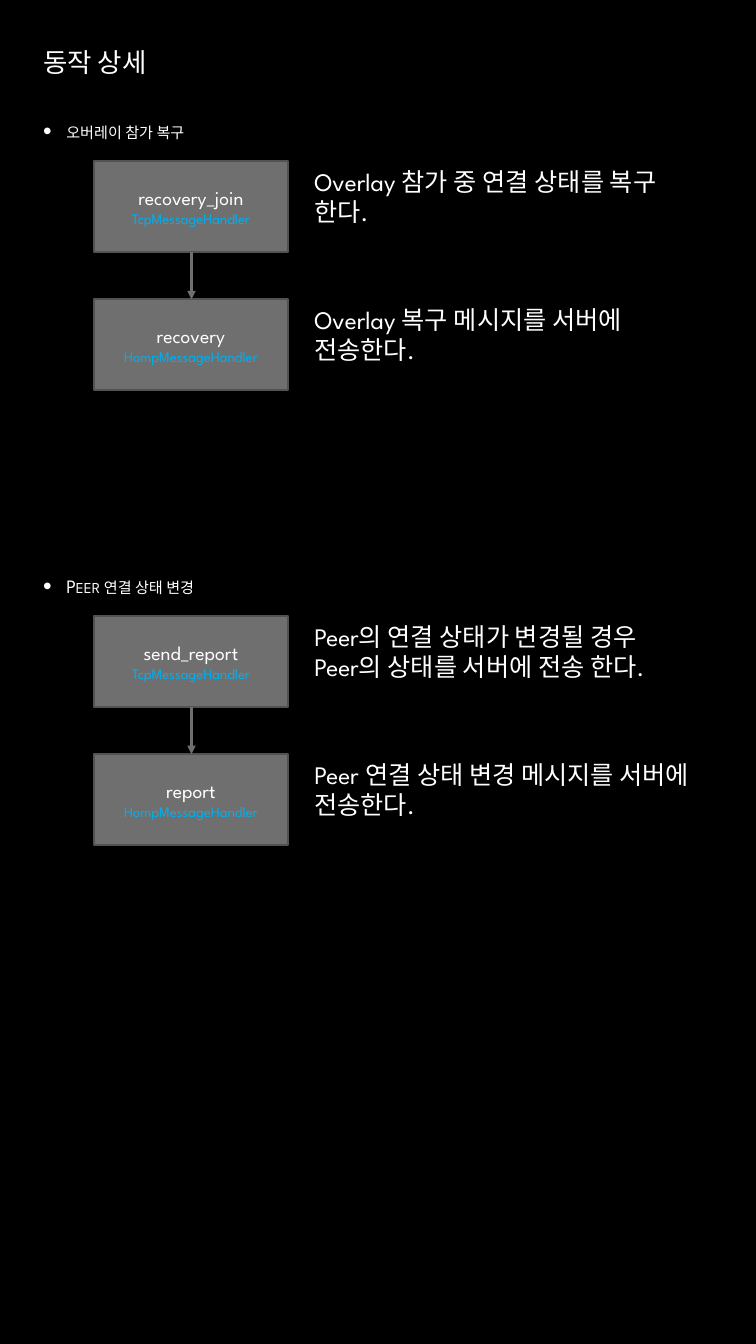
"""Builds the slide on overlay recovery and peer state reports."""
from lxml import etree
from pptx import Presentation
from pptx.dml.color import RGBColor
from pptx.enum.shapes import MSO_CONNECTOR, MSO_SHAPE
from pptx.enum.text import MSO_ANCHOR, PP_ALIGN
from pptx.oxml.ns import qn
from pptx.util import Pt

PX = 9144
RECT = MSO_SHAPE.RECTANGLE
STRAIGHT = MSO_CONNECTOR.STRAIGHT
MIDDLE = MSO_ANCHOR.MIDDLE
CENTER = PP_ALIGN.CENTER
BLACK = RGBColor(0x00, 0x00, 0x00)
WHITE = RGBColor(0xFF, 0xFF, 0xFF)
GRAY = RGBColor(0x6F, 0x6F, 0x6F)
DARK_GRAY = RGBColor(0x52, 0x52, 0x52)
BLUE = RGBColor(0x00, 0xB0, 0xF0)
LATIN = "League Spartan"
KOREAN = "Noto Sans CJK KR"

BOX_X, BOX_W, BOX_H = 93, 193, 90
NOTE_X, NOTE_H = 302, 71
STEP = 137

SECTIONS = [
    (114, 314, "오버레이 참가 복구", [
        ("recovery_join", "TcpMessageHandler", 382,
         "Overlay 참가 중 연결 상태를 복구 한다."),
        ("recovery", "HompMessageHandler", 395,
         "Overlay 복구 메시지를 서버에 전송한다."),
    ]),
    (565, 434, "Peer 연결 상태 변경", [
        ("send_report", "TcpMessageHandler", 382,
         "Peer의 연결 상태가 변경될 경우 Peer의 상태를 서버에 전송 한다."),
        ("report", "HompMessageHandler", 395,
         "Peer 연결 상태 변경 메시지를 서버에 전송한다."),
    ]),
]


def add_run(p, text, size, color=WHITE, font=LATIN):
    r = p.add_run()
    r.text = text
    r.font.size = Pt(size)
    r.font.name = font
    r.font.color.rgb = color
    rPr = r._r.get_or_add_rPr()
    etree.SubElement(rPr, qn("a:ea"), typeface=KOREAN)
    return rPr


def add_text_frame(x, y, w, h):
    tf = slide.shapes.add_textbox(x * PX, y * PX, w * PX, h * PX).text_frame
    tf.word_wrap = True
    return tf


prs = Presentation()
prs.slide_width = 750 * PX
prs.slide_height = 1333 * PX
slide = prs.slides.add_slide(prs.slide_layouts[6])
slide.background.fill.solid()
slide.background.fill.fore_color.rgb = BLACK

tf = add_text_frame(33, 40, 686, 42)
tf.vertical_anchor = MIDDLE
add_run(tf.paragraphs[0], "동작 상세", 18.9, font=KOREAN)

for top, height, heading, steps in SECTIONS:
    p = add_text_frame(33, top, 686, height).paragraphs[0]
    pPr = p._p.get_or_add_pPr()
    pPr.set("marL", str(23 * PX))
    pPr.set("indent", str(-23 * PX))
    bullet_color = etree.SubElement(pPr, qn("a:buClr"))
    etree.SubElement(bullet_color, qn("a:srgbClr"), val=str(WHITE))
    etree.SubElement(pPr, qn("a:buSzPct"), val="130000")
    etree.SubElement(pPr, qn("a:buFont"), typeface="Arial")
    etree.SubElement(pPr, qn("a:buChar"), char="•")
    p.space_after = Pt(4.5)
    add_run(p, heading, 13.5).set("cap", "small")

    first_y = top + 46
    for i, (function, handler, note_w, note) in enumerate(steps):
        y = first_y + i * STEP
        sp = slide.shapes.add_shape(RECT, BOX_X * PX, y * PX, BOX_W * PX, BOX_H * PX)
        sp.shadow.inherit = False
        sp.fill.solid()
        sp.fill.fore_color.rgb = GRAY
        sp.line.color.rgb = DARK_GRAY
        sp.line.width = Pt(1.5)
        tf = sp.text_frame
        tf.vertical_anchor = MIDDLE
        p = tf.paragraphs[0]
        p.alignment = CENTER
        add_run(p, function, 14)
        p = tf.add_paragraph()
        p.alignment = CENTER
        add_run(p, handler, 10.5, BLUE)

        tf = add_text_frame(NOTE_X, y, note_w, NOTE_H)
        add_run(tf.paragraphs[0], note, 18)

    arrow = slide.shapes.add_connector(
        STRAIGHT, 190 * PX, (first_y + BOX_H) * PX, 190 * PX, (first_y + STEP) * PX)
    arrow.line.color.rgb = GRAY
    arrow.line.width = Pt(2)
    etree.SubElement(arrow.line._get_or_add_ln(), qn("a:tailEnd"), type="triangle")
    etree.SubElement(arrow._element.spPr, qn("a:effectLst"))

prs.save("out.pptx")
